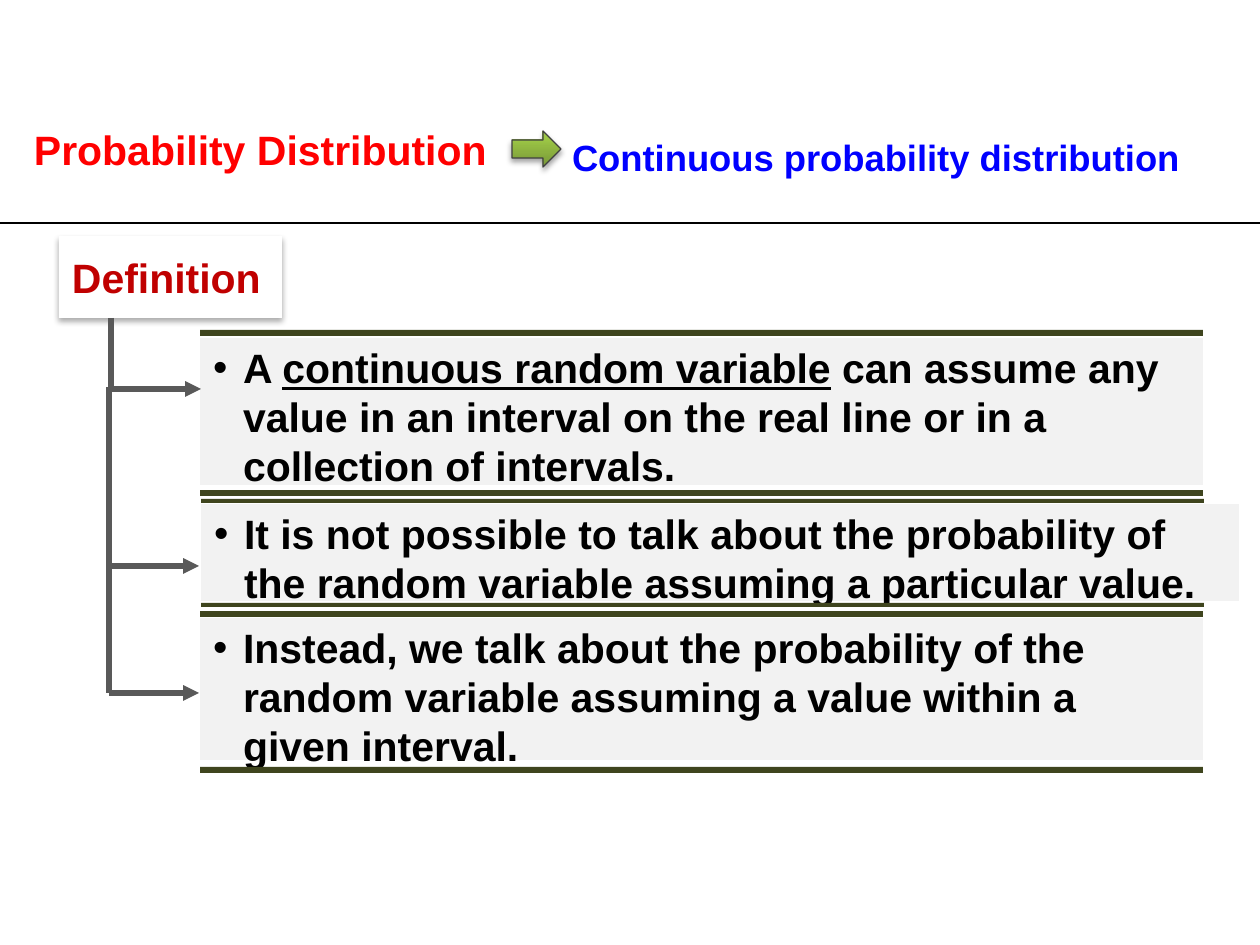
import pptx
import pptx.dml.color
import pptx.enum.dml
import pptx.enum.shapes
import pptx.enum.text
import pptx.oxml.ns
import pptx.util
from dataclasses import dataclass
from lxml import etree

EMU_PER_PX = 914400 // 126
COMPARISON_LAYOUT = 4
SHAPES = pptx.enum.shapes.MSO_SHAPE
qn = pptx.oxml.ns.qn


def px(length):
    return pptx.util.Emu(length * EMU_PER_PX)


def rgb(value):
    return pptx.dml.color.RGBColor.from_string(value)


def add_xml(parent, tag, **attributes):
    return etree.SubElement(parent, qn(tag), {name: str(value) for name, value in attributes.items()})


@dataclass(frozen=True)
class Theme:
    font: str = "Arial"
    heading_size: float = 23.4
    subtitle_size: float = 20.8
    list_pitch: float = 28
    title: str = "FF0000"
    subtitle: str = "0000FF"
    label: str = "C00000"
    text: str = "000000"
    panel: str = "F2F2F2"
    bar: str = "3F451E"
    branch: str = "595959"
    outline: str = "404040"
    white: str = "FFFFFF"
    arrow_dark: str = "779737"
    arrow_light: str = "9DC746"


class SlideBuilder:
    def __init__(self, slide, theme):
        self.slide = slide
        self.theme = theme

    def placeholder(self, index, box):
        shape = self.slide.placeholders[index]
        shape.left, shape.top, shape.width, shape.height = map(px, box)
        return shape

    def set_text(self, shape, runs, size, color, margins=(0, 0, 0, 0), anchor="TOP", bullet=False):
        """Fill a shape with one left-aligned paragraph of (text, underline) runs."""
        frame = shape.text_frame
        left, top, right, bottom = map(px, margins)
        frame_format = {
            "word_wrap": True,
            "auto_size": pptx.enum.text.MSO_AUTO_SIZE.NONE,
            "vertical_anchor": pptx.enum.text.MSO_ANCHOR[anchor],
            "margin_left": left, "margin_top": top,
            "margin_right": right, "margin_bottom": bottom,
        }
        for name, value in frame_format.items():
            setattr(frame, name, value)
        paragraph = frame.paragraphs[0]
        paragraph.alignment = pptx.enum.text.PP_ALIGN.LEFT
        paragraph.space_before = pptx.util.Pt(0)
        properties = paragraph._p.get_or_add_pPr()
        indent = px(30) if bullet else 0
        properties.set("marL", str(indent))
        properties.set("indent", str(-indent))
        if bullet:
            paragraph.line_spacing = pptx.util.Pt(self.theme.list_pitch)
            add_xml(properties, "a:buFont", typeface=self.theme.font)
            add_xml(properties, "a:buChar", char="•")
        else:
            add_xml(properties, "a:buNone")
        for text, underline in runs:
            run = paragraph.add_run()
            run.text = text
            run_format = {"name": self.theme.font, "size": pptx.util.Pt(size),
                          "bold": True, "underline": underline}
            for name, value in run_format.items():
                setattr(run.font, name, value)
            run.font.color.rgb = rgb(color)

    def heading(self, index, box, text, size, color):
        self.set_text(self.placeholder(index, box), [(text, False)], size, color)

    def bullet_panel(self, index, box, runs):
        shape = self.placeholder(index, box)
        shape.fill.solid()
        shape.fill.fore_color.rgb = rgb(self.theme.panel)
        self.set_text(shape, runs, self.theme.heading_size, self.theme.text,
                      margins=(13, 5, 13, 0), bullet=True)

    def block(self, kind, box, fill):
        shape = self.slide.shapes.add_shape(kind, *map(px, box))
        shape.fill.solid()
        shape.fill.fore_color.rgb = rgb(fill)
        shape.line.fill.background()
        shape.shadow.inherit = False
        return shape

    def drop_shadow(self, shape, blur, distance, opacity):
        effects = shape._element.spPr.find(qn("a:effectLst"))
        shadow = add_xml(effects, "a:outerShdw", blurRad=pptx.util.Pt(blur),
                         dist=pptx.util.Pt(distance), dir=90 * 60000, rotWithShape=0)
        color = add_xml(shadow, "a:srgbClr", val="000000")
        add_xml(color, "a:alpha", val=opacity * 1000)

    def label(self, box, text):
        shape = self.block(SHAPES.ROUND_2_DIAG_RECTANGLE, box, self.theme.white)
        for index in range(2):
            shape.adjustments[index] = 0
        self.drop_shadow(shape, 3.5, 2.2, 32)
        self.set_text(shape, [(text, False)], self.theme.heading_size, self.theme.label,
                      margins=(13, 6, 0, 6), anchor="MIDDLE")

    def block_arrow(self, box):
        shape = self.block(SHAPES.RIGHT_ARROW, box, self.theme.arrow_light)
        shape.fill.gradient()
        shape.fill.gradient_angle = 90
        stops = [(0, self.theme.arrow_dark), (0.8, self.theme.arrow_light)]
        for stop, (position, color) in zip(shape.fill.gradient_stops, stops):
            stop.position = position
            stop.color.rgb = rgb(color)
        shape.line.color.rgb = rgb(self.theme.outline)
        shape.line.width = pptx.util.Pt(0.75)
        self.drop_shadow(shape, 3.1, 1.8, 35)

    def line(self, start, end, color, width, head=None, tail=None):
        connector = self.slide.shapes.add_connector(
            pptx.enum.shapes.MSO_CONNECTOR.STRAIGHT, *map(px, start + end))
        connector.line.color.rgb = rgb(color)
        connector.line.width = pptx.util.Pt(width)
        properties = connector._element.spPr
        for tag, kind in (("a:headEnd", head), ("a:tailEnd", tail)):
            if kind:
                add_xml(properties.find(qn("a:ln")), tag, type=kind)
        add_xml(properties, "a:effectLst")

    def branch(self, x, top, bottom, tip):
        self.line((x, top), (x, bottom), self.theme.branch, 3)
        self.line((x, bottom), (tip, bottom), self.theme.branch, 3, tail="triangle")


def main():
    presentation = pptx.Presentation()
    presentation.slide_width = px(1260)
    presentation.slide_height = px(945)
    slide = presentation.slides.add_slide(presentation.slide_layouts[COMPARISON_LAYOUT])
    theme = Theme()
    builder = SlideBuilder(slide, theme)

    builder.heading(0, (34, 125, 470, 54), "Probability Distribution",
                    theme.heading_size, theme.title)
    builder.heading(1, (572, 135, 649, 54), "Continuous probability distribution",
                    theme.subtitle_size, theme.subtitle)
    builder.block_arrow((512, 131, 49, 36))
    builder.label((59, 236, 223, 82), "Definition")

    # Placeholder, panel box, top of each bar, bar height, runs
    panels = [
        (2, (200, 338, 1003, 147), (330, 490), 6, [
            ("A ", False), ("continuous random variable", True),
            (" can assume any value in an interval on the real line "
             "or in a collection of intervals.", False)]),
        (3, (201, 504, 1038, 97), (499, 603), 4, [
            ("It is not possible to talk about the probability of the random "
             "variable assuming a particular value.", False)]),
        (4, (200, 618, 1003, 142), (611, 767), 6, [
            ("Instead, we talk about the probability of the random variable "
             "assuming a value within a given interval.", False)]),
    ]
    for index, box, bar_tops, bar_height, runs in panels:
        builder.bullet_panel(index, box, runs)
        for top in bar_tops:
            builder.block(SHAPES.RECTANGLE, (box[0], top, 1003, bar_height), theme.bar)

    for branch in ((111, 318, 389, 201), (109, 387, 566, 199), (109, 514, 693, 199)):
        builder.branch(*branch)
    builder.line((-6, 223), (1260, 223), theme.text, 1.5, head="oval")

    presentation.save("out.pptx")


if __name__ == "__main__":
    main()
